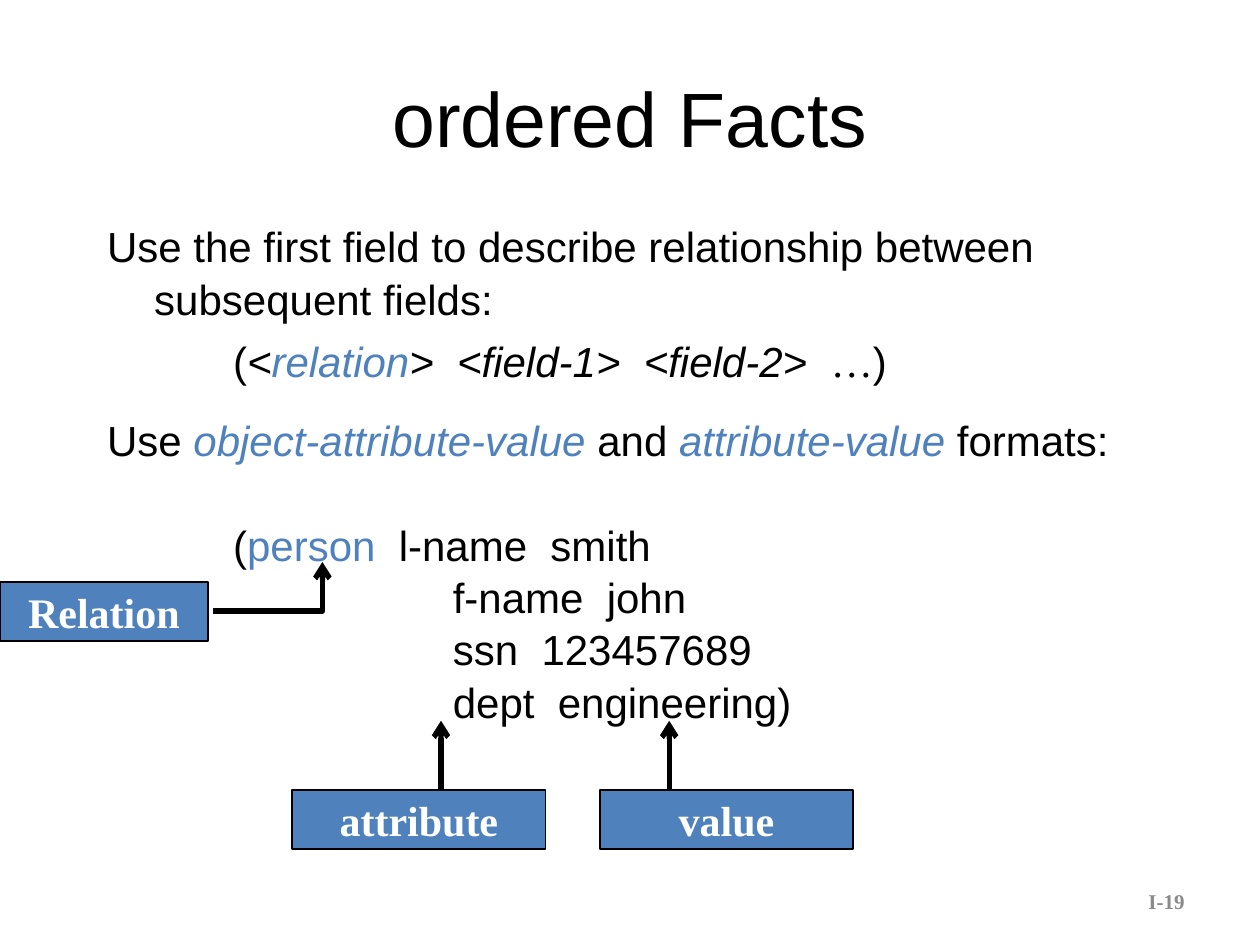
from lxml import etree
from pptx import Presentation
from pptx.dml.color import RGBColor
from pptx.enum.shapes import MSO_CONNECTOR, MSO_SHAPE
from pptx.enum.text import MSO_ANCHOR, PP_ALIGN
from pptx.oxml.ns import qn
from pptx.util import Cm, Pt

BLACK = RGBColor(0, 0, 0)
BLUE = RGBColor(0x4F, 0x81, 0xBD)
WHITE = RGBColor(255, 255, 255)
GREY = RGBColor(0x89, 0x89, 0x89)
SANS, SERIF = "Arial", "Times New Roman"


def style(para, size, face, color, bold=False):
    font = para.font
    font.size, font.name, font.bold = Pt(size), face, bold
    font.color.rgb = color


def draw_arrow(shape):
    """Thick black line with an open arrowhead at its end."""
    shape.line.color.rgb = BLACK
    shape.line.width = Pt(3)
    line = shape.line._get_or_add_ln()
    etree.SubElement(line, qn("a:tailEnd"), type="arrow")
    props = shape._element.spPr
    if props.find(qn("a:effectLst")) is None:
        etree.SubElement(props, qn("a:effectLst"))


deck = Presentation()
deck.slide_width, deck.slide_height = Cm(25.4), Cm(19.05)
slide = deck.slides.add_slide(deck.slide_layouts[5])
shapes = slide.shapes

# Title
title = shapes.title
title.left, title.top = Cm(1.27), Cm(0.76)
title.width, title.height = Cm(22.86), Cm(3.18)
title.text_frame.text = "ordered Facts"
title.text_frame.vertical_anchor = MSO_ANCHOR.MIDDLE
head = title.text_frame.paragraphs[0]
head.alignment = PP_ALIGN.CENTER
style(head, 44, SANS, BLACK)

# Body texts: paragraphs are (left margin, first indent, space before, runs),
# runs are (text, color, italic, font)
HANG = (0.95, -0.95)
DEEP = (4.43, 0)
bodies = [
    ((4.45, 6.6, 19.05, 11), [
        (*HANG, 0, [("(", BLACK, False, SANS), ("<", BLACK, True, SANS),
                    ("relation", BLUE, True, SANS),
                    (">  <field-1>  <field-2>  ", BLACK, True, SANS),
                    ("…", BLACK, False, SERIF), (")", BLACK, False, SANS)]),
        (*HANG, 75, [("(", BLACK, False, SANS), ("person", BLUE, False, SANS),
                     ("  l-name  smith", BLACK, False, SANS)]),
        (*DEEP, 0, [("f-name  john", BLACK, False, SANS)]),
        (*DEEP, 0, [("ssn  123457689", BLACK, False, SANS)]),
        (*DEEP, 0, [("dept  engineering)", BLACK, False, SANS)]),
    ]),
    ((1.91, 4.29, 21.59, 11.63), [
        (*HANG, 0, [("Use the first field to describe relationship between "
                     "subsequent fields:", BLACK, False, SANS)]),
        (*HANG, 51, [("Use ", BLACK, False, SANS),
                     ("object-attribute-value ", BLUE, True, SANS),
                     ("and", BLACK, False, SANS),
                     (" attribute-value", BLUE, True, SANS),
                     (" formats:", BLACK, False, SANS)]),
    ]),
]
for place, paras in bodies:
    frame = shapes.add_textbox(*map(Cm, place)).text_frame
    frame.word_wrap = True
    for i, (left, first, gap, runs) in enumerate(paras):
        para = frame.add_paragraph() if i else frame.paragraphs[0]
        style(para, 24, SANS, BLACK)
        para.space_before = Pt(gap)
        para.line_spacing = 1.04
        props = para._p.get_or_add_pPr()
        props.set("marL", str(Cm(left)))
        props.set("indent", str(Cm(first)))
        for text, color, slant, face in runs:
            run = para.add_run()
            run.text = text
            run.font.size, run.font.name = Pt(24), face
            run.font.italic = slant
            run.font.color.rgb = color

# Labels
for text, left, top, width in [("Relation", 0, 11.73, 4.19),
                               ("attribute", 5.89, 15.93, 5.11),
                               ("value", 12.09, 15.93, 5.11)]:
    box = shapes.add_shape(MSO_SHAPE.RECTANGLE, Cm(left), Cm(top),
                           Cm(width), Cm(1.19))
    box.shadow.inherit = False
    box.fill.solid()
    box.fill.fore_color.rgb = BLUE
    box.line.color.rgb = BLACK
    box.line.width = Pt(1)
    frame = box.text_frame
    frame.text = text
    frame.word_wrap = False
    frame.vertical_anchor = MSO_ANCHOR.MIDDLE
    frame.paragraphs[0].alignment = PP_ALIGN.CENTER
    style(frame.paragraphs[0], 24, SERIF, WHITE, True)

# Bent arrow from Relation up to person
path = shapes.build_freeform(Cm(4.29), Cm(12.32))
path.add_line_segments([(Cm(6.5), Cm(12.32)), (Cm(6.5), Cm(11.33))],
                       close=False)
bend = path.convert_to_shape()
bend.fill.background()
draw_arrow(bend)

# Straight arrows up from attribute and value
for x in (8.89, 13.49):
    draw_arrow(shapes.add_connector(MSO_CONNECTOR.STRAIGHT, Cm(x), Cm(15.93),
                                    Cm(x), Cm(14.53)))

# Page number
frame = shapes.add_textbox(Cm(18.21), Cm(17.65), Cm(5.92), Cm(1.02)).text_frame
frame.text = "I-19"
frame.word_wrap = True
frame.vertical_anchor = MSO_ANCHOR.MIDDLE
frame.paragraphs[0].alignment = PP_ALIGN.RIGHT
style(frame.paragraphs[0], 12, SERIF, GREY, True)

deck.save("out.pptx")
